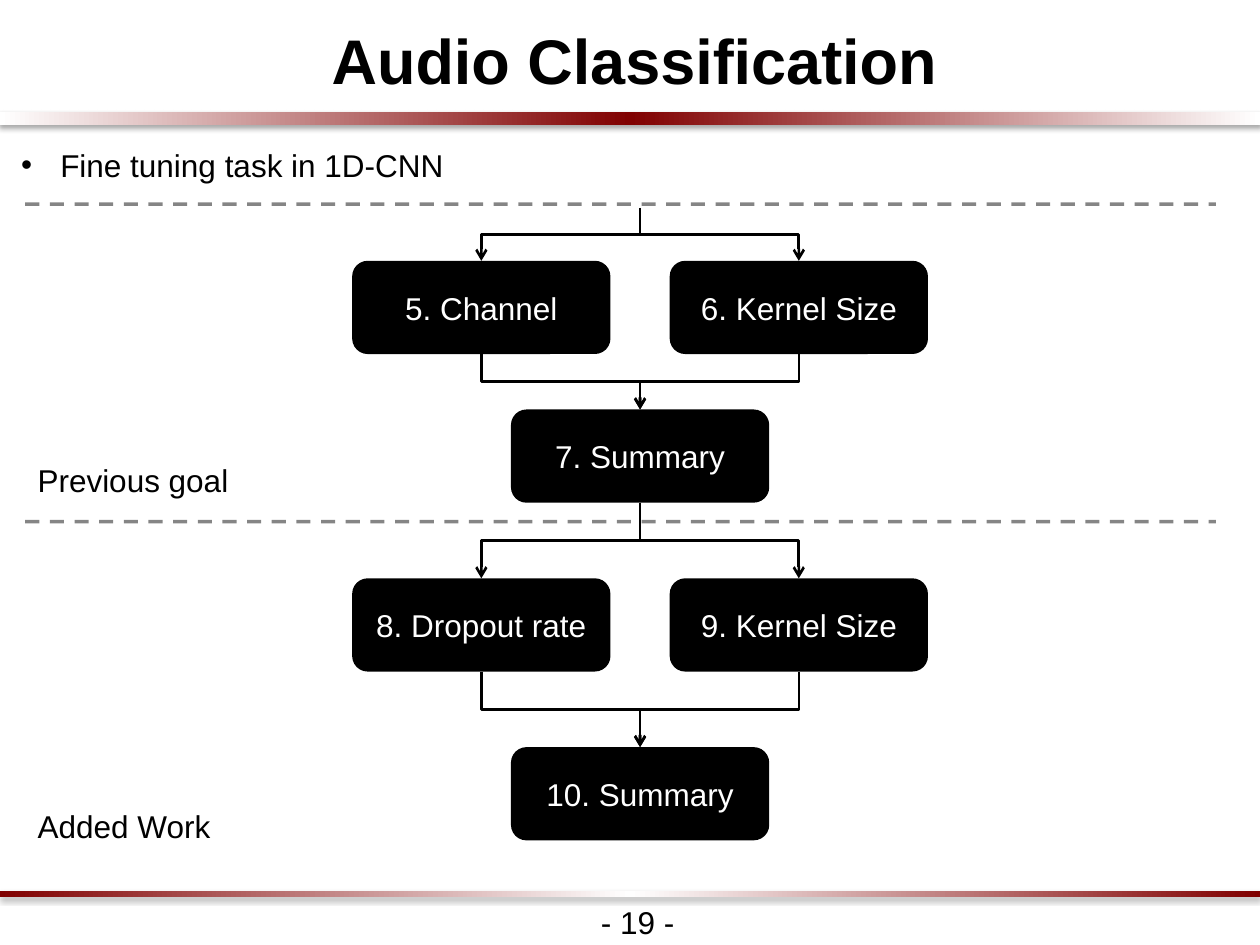
from dataclasses import dataclass
from lxml.etree import SubElement
from pptx import Presentation
from pptx.dml.color import RGBColor
from pptx.enum.dml import MSO_LINE as Dash
from pptx.enum.shapes import MSO_CONNECTOR as Link, MSO_SHAPE as Shape
from pptx.enum.text import MSO_ANCHOR as Anchor, MSO_AUTO_SIZE as Fit, PP_ALIGN as Align
from pptx.oxml.ns import qn
from pptx.util import Inches, Pt


@dataclass
class Theme:
    font: str = "Arial"
    ink: str = "000000"
    paper: str = "FFFFFF"
    accent: str = "800000"
    head: int = 36
    body: int = 18


theme = Theme()


def style(shape, text, size, color, align=Align.LEFT, bold=False):
    frame = shape.text_frame
    frame.text = text
    para = frame.paragraphs[0]
    para.alignment = align
    font = para.runs[0].font
    font.name, font.size, font.bold = theme.font, Pt(size), bold
    font.color.rgb = RGBColor.from_string(color)
    return frame, para


def wire(kind, ends, width):
    line = slide.shapes.add_connector(kind, *map(Inches, ends))
    line.line.color.rgb = RGBColor.from_string(theme.ink)
    line.line.width = Pt(width)
    props = line._element.spPr
    SubElement(props, qn("a:effectLst"))
    return line, props


deck = Presentation()
deck.slide_width, deck.slide_height = Inches(10), Inches(7.5)
slide = deck.slides.add_slide(deck.slide_layouts[5])

bars = [
    (0.89, 0.1, (theme.paper, theme.accent, theme.paper)),
    (7.07, 0.05, (theme.accent, theme.paper, theme.accent)),
]
for top, high, colors in bars:
    bar = slide.shapes.add_shape(Shape.RECTANGLE, 0, Inches(top), Inches(10), Inches(high))
    bar.line.fill.background()
    bar.shadow.inherit = False
    bar.fill.gradient()
    bar.fill.gradient_angle = 0
    props = bar._element.spPr
    stops = props.find(".//" + qn("a:gsLst"))
    for stop in list(stops):
        stops.remove(stop)
    for place, color in zip((0, 50000, 100000), colors):
        stop = SubElement(stops, qn("a:gs"), pos=str(place))
        SubElement(stop, qn("a:srgbClr"), val=color)
    glow = SubElement(props.find(qn("a:effectLst")), qn("a:outerShdw"),
                      blurRad=str(Pt(3.1)), dist=str(Pt(1.8)), dir="5400000", rotWithShape="0")
    shade = SubElement(glow, qn("a:srgbClr"), val=theme.ink)
    SubElement(shade, qn("a:alpha"), val="35000")

title = slide.shapes.title
title.left, title.top, title.width, title.height = map(Inches, (-0.23, 0.03, 10.45, 0.79))
frame, para = style(title, "Audio Classification", theme.head, theme.ink, Align.CENTER, True)
frame.auto_size, frame.vertical_anchor = Fit.NONE, Anchor.MIDDLE
frame.margin_top = frame.margin_bottom = Inches(0.1)
para.line_spacing = 1.15
para._p.get_or_add_pPr().set("marL", str(Inches(0.08)))

notes = [
    ("Fine tuning task in 1D-CNN", 0.07, 1.11, 9.42, 0.43),
    ("Previous goal", 0.2, 3.61, 1.73, 0.4),
    ("Added Work", 0.2, 6.36, 1.59, 0.4),
    ("- 19 -", 4.67, 7.12, 0.79, 0.4),
]
for row, (text, *spot) in enumerate(notes):
    box = slide.shapes.add_textbox(*map(Inches, spot))
    frame, para = style(box, text, theme.body, theme.ink)
    frame.word_wrap = row == 0
    if row == 0:
        props = para._p.get_or_add_pPr()
        props.set("marL", str(Inches(0.31)))
        props.set("indent", str(Inches(-0.31)))
        SubElement(props, qn("a:buFont"), typeface=theme.font)
        SubElement(props, qn("a:buChar"), char="•")

for y in (1.62, 4.14):
    line, props = wire(Link.STRAIGHT, (0.2, y, 9.65, y), 2)
    line.line.dash_style = Dash.DASH
    SubElement(props.find(".//" + qn("a:srgbClr")), qn("a:alpha"), val="47000")

mid, side = 5.08, 1.26
wide, high = 2.05, 0.74
groups = [
    (1.65, 2.07, 3.25, ("5. Channel", "6. Kernel Size", "7. Summary")),
    (3.99, 4.59, 5.93, ("8. Dropout rate", "9. Kernel Size", "10. Summary")),
]
for start, upper, lower, names in groups:
    spots = [(mid - side, upper), (mid + side, upper), (mid, lower)]
    for name, (x, y) in zip(names, spots):
        box = slide.shapes.add_shape(Shape.ROUNDED_RECTANGLE, Inches(x - wide / 2), Inches(y),
                                     Inches(wide), Inches(high))
        box.shadow.inherit = False
        box.fill.solid()
        box.fill.fore_color.rgb = RGBColor.from_string(theme.ink)
        box.line.fill.background()
        frame, para = style(box, name, theme.body, theme.paper, Align.CENTER)
        frame.vertical_anchor = Anchor.MIDDLE

    base = upper + high
    paths = [
        (mid, start, mid - side, upper),
        (mid, start, mid + side, upper),
        (mid - side, base, mid, lower),
        (mid + side, base, mid, lower),
    ]
    for x1, y1, x2, y2 in paths:
        x, y = (x1 + x2) / 2, (y1 + y2) / 2
        run, rise = (y2 - y1) / 2, side / 2
        way = 1 if x2 < x1 else -1
        line, props = wire(Link.ELBOW, (x - way * run, y - rise, x + way * run, y + rise), 1.5)
        props.find(qn("a:xfrm")).set("rot", str(way * 5400000 % 21600000))
        SubElement(props.find(qn("a:ln")), qn("a:tailEnd"), type="arrow")

deck.save("out.pptx")
